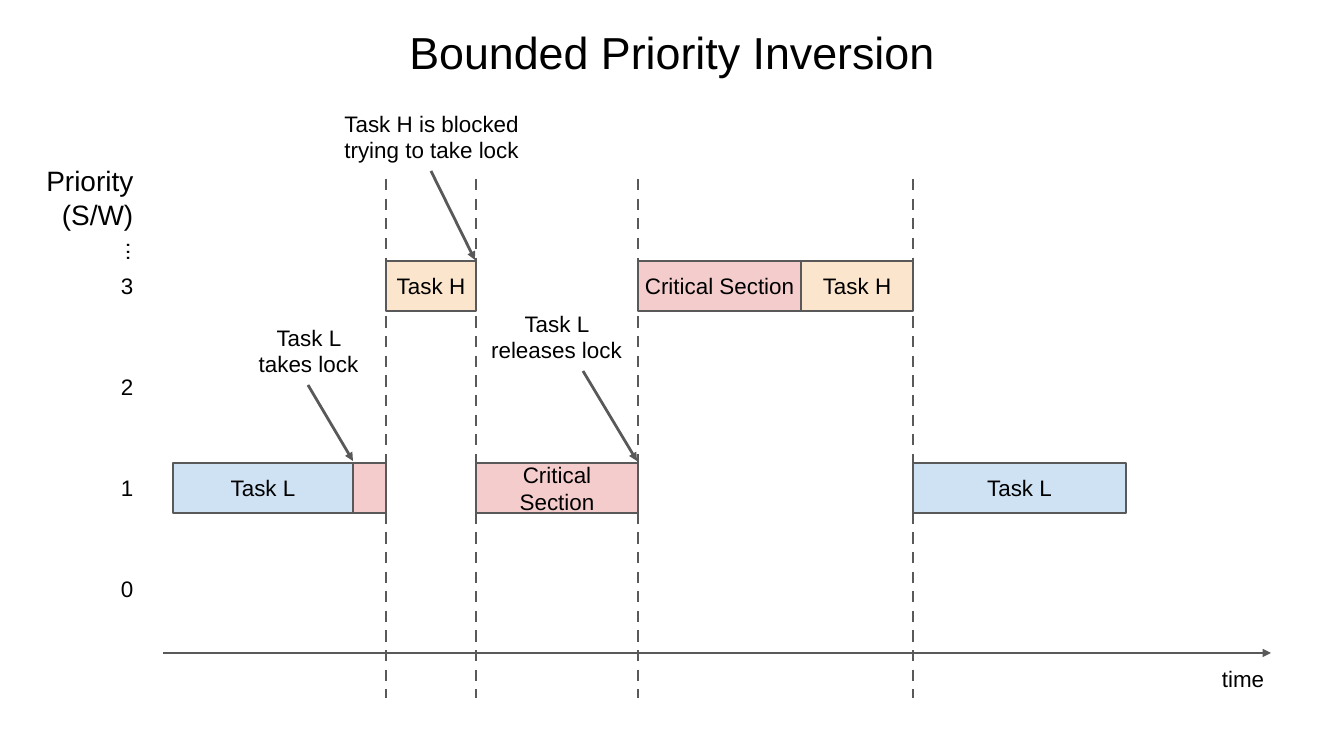
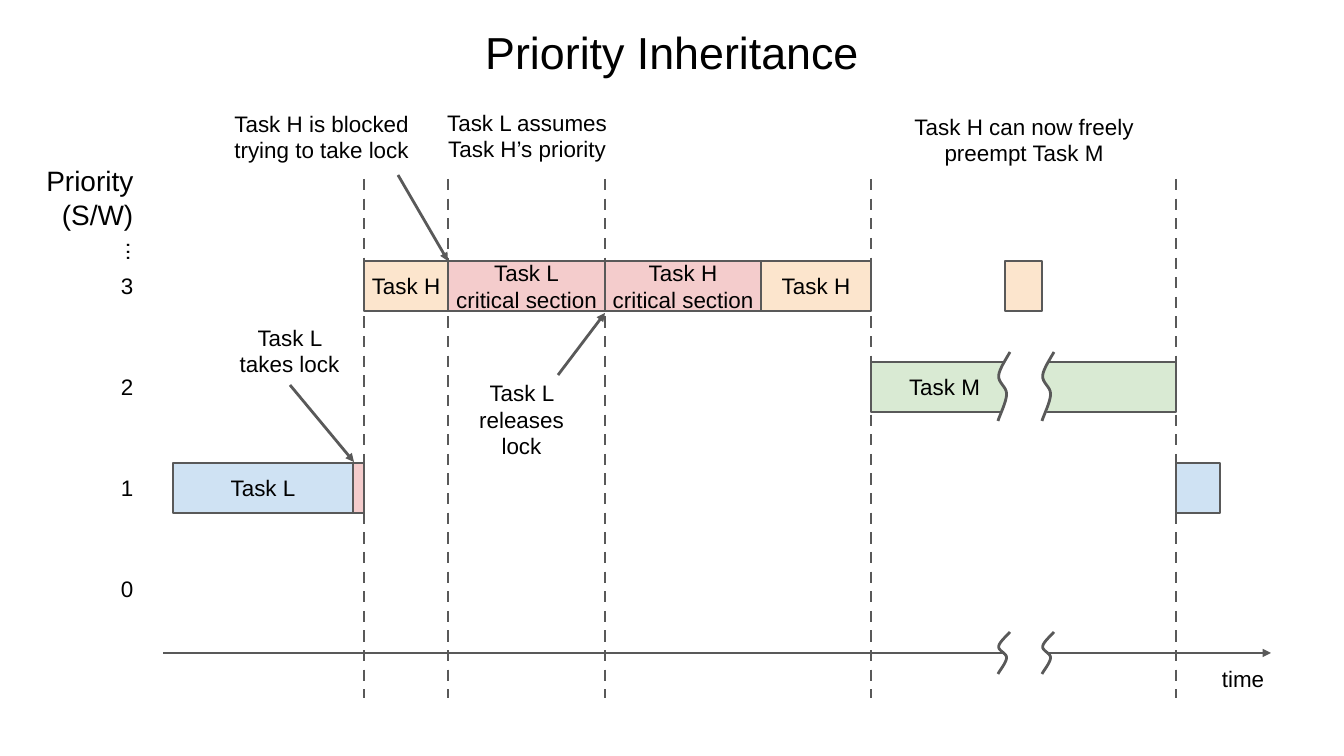
from lxml import etree
from pptx import Presentation
from pptx import util as u
from pptx.dml.color import RGBColor
from pptx.enum import dml, shapes, text
from pptx.oxml import ns

COLOURS = {"ink": "000000", "line": "595959", "low": "CFE2F3", "medium": "D9EAD3",
           "high": "FCE5CD", "critical": "F4CCCC", "paper": "FFFFFF"}
FONT = "Arial"
CENTRE, RIGHT = text.PP_ALIGN.CENTER, text.PP_ALIGN.RIGHT
MIDDLE, TOP = text.MSO_ANCHOR.MIDDLE, text.MSO_ANCHOR.TOP

# Chart geometry in pixels
SCALE = 914400 / 67.2
WIDTH, HEIGHT = 1344, 756
TITLE_BOX = (346, 0, 652, 103)
PRIORITIES = (3, 2, 1, 0)
ROW_TOP, ROW_PITCH, ROW_HEIGHT = 261, 101, 50
LABEL_LEFT, LABEL_WIDTH, LABEL_HEIGHT = 67, 73, 62
AXIS_LEFT, AXIS_RIGHT, AXIS_Y = 163, 1271, 653
MARKER_TOP, MARKER_BOTTOM = 179, 698

# Wavy break edge: cubic Bezier points as fractions of its box
WAVE = [(1, 0), (.83, .06), (.11, .24), (.06, .34), (0, .45), (.72, .5),
        (.72, .61), (.72, .72), (.11, .93), (0, 1)]
WAVE_WIDTH, WAVE_LEFTS = 12, (998, 1042)

# tasks: start, end, priority, colour, label
# callouts: text, box, arrow (start and end) or None
# breaks: white box, white outlines, wave top, wave height
SLIDES = [
    {
        "title": "Bounded Priority Inversion",
        "markers": [386, 476, 638, 913],
        "tasks": [
            (173, 353, 1, "low", "Task L"),
            (386, 476, 3, "high", "Task H"),
            (353, 386, 1, "critical", ""),
            (476, 638, 1, "critical", "Critical Section"),
            (913, 1126, 1, "low", "Task L"),
            (638, 801, 3, "critical", "Critical Section"),
            (801, 913, 3, "high", "Task H"),
        ],
        "callouts": [
            ("Task L takes lock", (245, 317, 127, 68), (308, 385, 353, 461)),
            ("Task H is blocked trying to take lock", (331, 103, 201, 68),
             (431, 171, 475, 260)),
            ("Task L releases lock", (483, 303, 147, 68), (583, 371, 637, 461)),
        ],
        "breaks": [],
    },
    {
        "title": "Priority Inheritance",
        "markers": [364, 448, 605, 871, 1176],
        "tasks": [
            (173, 353, 1, "low", "Task L"),
            (364, 448, 3, "high", "Task H"),
            (1176, 1220, 1, "low", ""),
            (761, 871, 3, "high", "Task H"),
            (448, 605, 3, "critical", "Task L\ncritical section"),
            (871, 1018, 2, "medium", "Task M"),
            (1029, 1176, 2, "medium", ""),
            (605, 761, 3, "critical", "Task H\ncritical section"),
            (1005, 1042, 3, "high", ""),
            (353, 364, 1, "critical", ""),
        ],
        "callouts": [
            ("Task L takes lock", (226, 317, 127, 68), (290, 385, 354, 462)),
            ("Task L assumes Task H’s priority", (428, 102, 198, 68), None),
            ("Task L releases lock", (458, 372, 127, 95), (558, 375, 605, 313)),
            ("Task H is blocked trying to take lock", (221, 103, 201, 68),
             (398, 175, 448, 261)),
            ("Task H can now freely preempt Task M", (904, 106, 240, 68), None),
        ],
        "breaks": [
            ((1005, 346, 39, 83),
             [[(1005, 360), (999, 371), (999, 378), (1006, 390)],
              [(1050, 359), (1044, 371), (1044, 380), (1047, 385), (1052, 392),
               (1051, 399), (1048, 410), (1045, 415), (1036, 414), (1034, 360)],
              [(1001, 415), (1005, 405), (1007, 415)]],
             352, 69),
            ((1003, 611, 44, 83), [], 632, 42),
        ],
    },
]


def emu(*pixels):
    return [u.Emu(round(pixel * SCALE)) for pixel in pixels]


def colour(name):
    return RGBColor.from_string(COLOURS[name])


def write(shape, words, size=24, align=CENTRE, anchor=MIDDLE):
    frame = shape.text_frame
    frame.word_wrap = True
    frame.auto_size = text.MSO_AUTO_SIZE.NONE
    frame.vertical_anchor = anchor
    frame.margin_left = frame.margin_right = u.Inches(0.1)
    frame.margin_top = frame.margin_bottom = u.Inches(0.1)
    for index, line in enumerate(words.split("\n")):
        paragraph = frame.add_paragraph() if index else frame.paragraphs[0]
        paragraph.alignment = align
        run = paragraph.add_run()
        run.text = line
        run.font.name, run.font.size = FONT, u.Pt(size)
        run.font.color.rgb = colour("ink")


def add_text(slide, box, words, **style):
    shape = slide.shapes.add_textbox(*emu(*box))
    write(shape, words, **style)
    return shape


def paint(shape, fill=None, outlined=True):
    shape.shadow.inherit = False
    if fill:
        shape.fill.solid()
        shape.fill.fore_color.rgb = colour(fill)
    else:
        shape.fill.background()
    if outlined:
        shape.line.color.rgb = colour("line")
        shape.line.width = u.Pt(3)
    else:
        shape.line.fill.background()


def add_box(slide, box, fill, outlined=True):
    shape = slide.shapes.add_shape(shapes.MSO_SHAPE.RECTANGLE, *emu(*box))
    paint(shape, fill, outlined)
    return shape


def add_line(slide, ends, dashed=False, arrow=False):
    connector = slide.shapes.add_connector(shapes.MSO_CONNECTOR.STRAIGHT, *emu(*ends))
    connector.line.color.rgb = colour("line")
    connector.line.width = u.Pt(3)
    if dashed:
        connector.line.dash_style = dml.MSO_LINE.DASH
    properties = connector.element.spPr
    if arrow:
        etree.SubElement(properties.find(ns.qn("a:ln")), ns.qn("a:tailEnd"), type="triangle")
    etree.SubElement(properties, ns.qn("a:effectLst"))


def add_outline(slide, points, fill=None):
    start, *rest = [emu(*point) for point in points]
    builder = slide.shapes.build_freeform(*start, scale=1.0)
    builder.add_line_segments(rest, close=bool(fill))
    paint(builder.convert_to_shape(), fill, outlined=not fill)


def wave_points(left, top, height, steps=8):
    """Sample the three Bezier pieces of a wavy edge."""
    points = [(left + WAVE_WIDTH, top)]
    for first in range(0, len(WAVE) - 1, 3):
        controls = WAVE[first:first + 4]
        for step in range(1, steps + 1):
            t = step / steps
            weights = ((1 - t) ** 3, 3 * t * (1 - t) ** 2, 3 * t * t * (1 - t), t ** 3)
            x, y = (sum(w * c[axis] for w, c in zip(weights, controls)) for axis in (0, 1))
            points.append((left + WAVE_WIDTH * x, top + height * y))
    return points


def row_top(priority):
    return ROW_TOP + ROW_PITCH * (PRIORITIES[0] - priority)


def add_frame(slide, title):
    """Title, time axis and priority scale, the same on each slide."""
    heading = slide.shapes.title
    heading.left, heading.top, heading.width, heading.height = emu(*TITLE_BOX)
    write(heading, title, size=48)
    add_line(slide, (AXIS_LEFT, AXIS_Y, AXIS_RIGHT, AXIS_Y), arrow=True)
    add_text(slide, (1187, 659, 112, 39), "time")
    add_text(slide, (34, 161, 106, 73), "Priority (S/W)", size=30, align=RIGHT)
    add_text(slide, (88, 221, 65, 62), "...").rotation = 270
    for priority in PRIORITIES:
        top = row_top(priority) + (ROW_HEIGHT - LABEL_HEIGHT) / 2
        add_text(slide, (LABEL_LEFT, top, LABEL_WIDTH, LABEL_HEIGHT), str(priority), align=RIGHT)


presentation = Presentation()
presentation.slide_width, presentation.slide_height = emu(WIDTH, HEIGHT)
for content in SLIDES:
    slide = presentation.slides.add_slide(presentation.slide_layouts[5])
    add_frame(slide, content["title"])
    # Time markers and task bars
    for x in content["markers"]:
        add_line(slide, (x, MARKER_TOP, x, MARKER_BOTTOM), dashed=True)
    for start, end, priority, fill, label in content["tasks"]:
        bar = add_box(slide, (start, row_top(priority), end - start, ROW_HEIGHT), fill)
        if label:
            write(bar, label)
    # Breaks in the time axis and the long task
    for gap, outlines, top, height in content["breaks"]:
        add_box(slide, gap, "paper", outlined=False)
        for points in outlines:
            add_outline(slide, points, "paper")
        for left in WAVE_LEFTS:
            add_outline(slide, wave_points(left, top, height))
    # Callouts with their arrows
    for words, box, arrow in content["callouts"]:
        shape = add_text(slide, box, words, anchor=TOP)
        shape.text_frame.auto_size = text.MSO_AUTO_SIZE.SHAPE_TO_FIT_TEXT
        if arrow:
            add_line(slide, arrow, arrow=True)
presentation.save("out.pptx")
